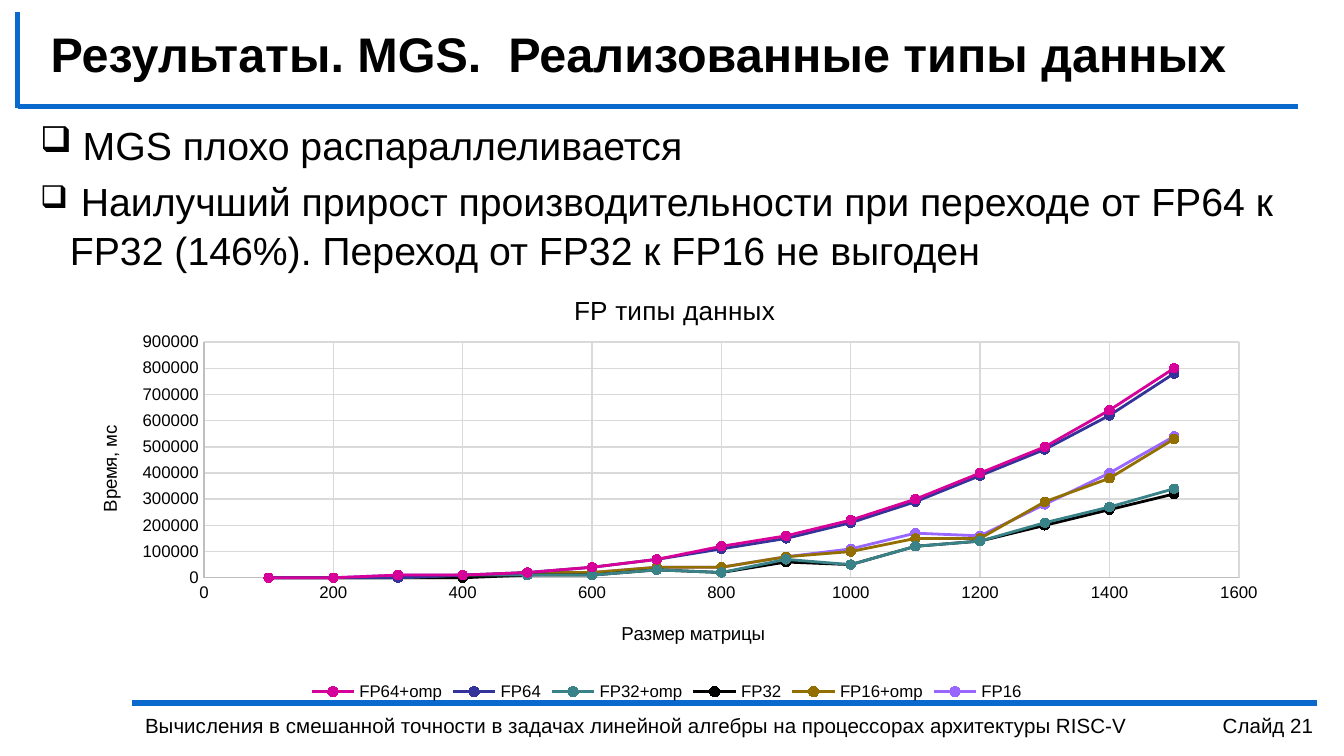
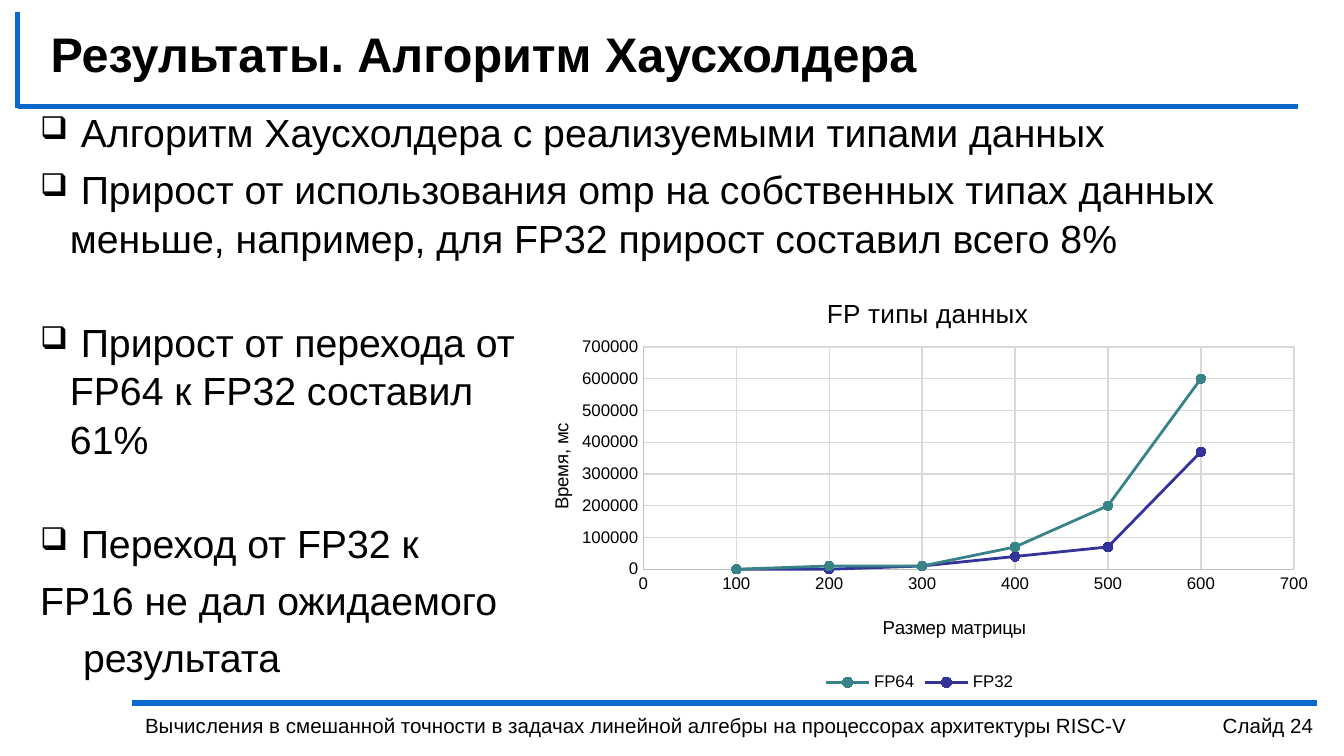
from lxml.etree import SubElement
from pptx import Presentation
from pptx.chart.data import XyChartData
from pptx.dml.color import RGBColor
from pptx.enum.chart import XL_CHART_TYPE, XL_LEGEND_POSITION, XL_MARKER_STYLE, XL_TICK_MARK
from pptx.enum.shapes import MSO_CONNECTOR
from pptx.enum.text import MSO_ANCHOR, PP_ALIGN
from pptx.oxml import parse_xml
from pptx.oxml.ns import nsdecls, qn
from pptx.util import Pt

FONT = "Arial"
BLACK, BLUE, GRID, AXIS = "000000", "0969CD", "D9D9D9", "BFBFBF"
PINK, NAVY, TEAL, OLIVE, VIOLET = "D50198", "333399", "388288", "926F00", "9966FF"
RULES = [(9.4, 57, 695.5, 57), (9.4, 6.5, 9.4, 57.6), (70.6, 376.6, 705.6, 376.6)]
FOOTER = ("Вычисления в смешанной точности в задачах линейной алгебры "
          "на процессорах архитектуры RISC-V")
SIZE_STEP = 100
TIME_STEP = 10000

# Body lines: text, space before, bullet percentage (None for no bullet), left indent.
# Series: name, colour, times in units of TIME_STEP.
# Layouts are fractions of the chart: left, top and, for the plot, width and height.
SLIDES = [
    {
        "title": "Результаты. MGS.  Реализованные типы данных",
        "number": 21,
        "body_box": (14.4, 60.5, 686, 145),
        "body": [
            (" MGS плохо распараллеливается", 4.5, 91, 16),
            (" Наилучший прирост производительности при переходе от FP64 к FP32 (146%). "
             "Переход от FP32 к FP16 не выгоден", 4.5, 80, 16),
        ],
        "chart_box": (31, 140.4, 652.3, 238.3),
        "x_limits": (1600, 200),
        "y_max": 900000,
        "plot": (0.12, 0.18, 0.85, 0.53),
        "title_at": (0.42, 0.06),
        "x_title_at": (0.46, 0.8),
        "y_title_at": (0.03, 0.36),
        "series": [
            ("FP64+omp", PINK, [0, 0, 1, 1, 2, 4, 7, 12, 16, 22, 30, 40, 50, 64, 80]),
            ("FP64", NAVY, [0, 0, 0, 1, 2, 4, 7, 11, 15, 21, 29, 39, 49, 62, 78]),
            ("FP32+omp", TEAL, [0, 0, 0, 1, 1, 1, 3, 2, 7, 5, 12, 14, 21, 27, 34]),
            ("FP32", BLACK, [0, 0, 0, 0, 1, 1, 3, 2, 6, 5, 12, 14, 20, 26, 32]),
            ("FP16+omp", OLIVE, [0, 0, 0, 0, 2, 2, 4, 4, 8, 10, 15, 15, 29, 38, 53]),
            ("FP16", VIOLET, [0, 0, 1, 1, 1, 2, 4, 4, 8, 11, 17, 16, 28, 40, 54]),
        ],
    },
    {
        "title": "Результаты. Алгоритм Хаусхолдера",
        "number": 24,
        "body_box": (14.4, 54, 690.5, 308),
        "body": [
            (" Алгоритм Хаусхолдера с реализуемыми типами данных", 4.5, 80, 16),
            (" Прирост от использования omp на собственных типах данных меньше, "
             "например, для FP32 прирост составил всего 8%", 4.5, 80, 16),
            (" Прирост от перехода от\nFP64 к FP32 составил\n61%", 30, 80, 16),
            (" Переход от FP32 к", 30, 80, 16),
            ("FP16 не дал ожидаемого", 4.5, None, 0),
            ("результата", 4.5, None, 23),
        ],
        "chart_box": (275, 144.7, 435.6, 229),
        "x_limits": (700, 100),
        "y_max": 700000,
        "plot": (0.16, 0.18, 0.8, 0.52),
        "title_at": (0.38, 0.05),
        "x_title_at": (0.45, 0.8),
        "y_title_at": (0.04, 0.35),
        "series": [
            ("FP64", TEAL, [0, 1, 1, 7, 20, 60]),
            ("FP32", NAVY, [0, 0, 1, 4, 7, 37]),
        ],
    },
]


def rgb(value):
    return RGBColor.from_string(value)


def set_layout(holder, fractions):
    """Give a chart title or the plot area a fixed place inside the chart."""
    for old in holder.findall(qn("c:layout")):
        holder.remove(old)
    layout = parse_xml(f"<c:layout {nsdecls('c')}/>")
    manual = SubElement(layout, qn("c:manualLayout"))
    if len(fractions) == 4:
        SubElement(manual, qn("c:layoutTarget")).set("val", "inner")
    for name in ("xMode", "yMode"):
        SubElement(manual, qn(f"c:{name}")).set("val", "edge")
    for name, fraction in zip("xywh", fractions):
        SubElement(manual, qn(f"c:{name}")).set("val", str(fraction))
    text = holder.find(qn("c:tx"))
    holder.insert(0 if text is None else 1, layout)


deck = Presentation()
deck.slide_width, deck.slide_height = Pt(720), Pt(405)

for content in SLIDES:
    page = deck.slides.add_slide(deck.slide_layouts[6])

    for ends in RULES:
        rule = page.shapes.add_connector(MSO_CONNECTOR.STRAIGHT, *map(Pt, ends))
        rule.line.color.rgb = rgb(BLUE)
        rule.line.width = Pt(3)
        SubElement(rule.element.spPr, qn("a:effectLst"))

    # Title, body and footer
    heading = [(content["title"], 0, None, 0)]
    footer = [(FOOTER, 0, None, 0)]
    number = [(f"Слайд {content['number']}", 0, None, 0)]
    for place, lines, size, bold, anchor, align, spacing in [
        ((20, 12.2, 688, 33), heading, 26, True, MSO_ANCHOR.MIDDLE, PP_ALIGN.LEFT, 1),
        (content["body_box"], content["body"], 21, False, MSO_ANCHOR.TOP, PP_ALIGN.LEFT, 1.03),
        ((70.6, 378.7, 578, 26.6), footer, 11, False, MSO_ANCHOR.TOP, PP_ALIGN.LEFT, 1),
        ((620.6, 378.7, 90, 26.6), number, 11, False, MSO_ANCHOR.TOP, PP_ALIGN.RIGHT, 1),
    ]:
        box = page.shapes.add_textbox(*map(Pt, place))
        frame = box.text_frame
        frame.word_wrap = True
        frame.vertical_anchor = anchor
        for index, (text, before, bullet, indent) in enumerate(lines):
            para = frame.add_paragraph() if index else frame.paragraphs[0]
            para.text = text
            para.alignment = align
            para.space_before = Pt(before)
            para.line_spacing = spacing
            for span in para.runs:
                span.font.name = FONT
                span.font.size = Pt(size)
                span.font.bold = bold
                span.font.color.rgb = rgb(BLACK)
            properties = para._p.get_or_add_pPr()
            properties.set("marL", str(Pt(indent)))
            if bullet:
                properties.set("indent", str(-Pt(indent)))
                SubElement(properties, qn("a:buSzPct")).set("val", str(bullet * 1000))
                SubElement(properties, qn("a:buChar")).set("char", "❑")

    # Chart of time against matrix size
    data = XyChartData()
    for name, _, times in content["series"]:
        points = data.add_series(name)
        for step, time in enumerate(times, 1):
            points.add_data_point(step * SIZE_STEP, time * TIME_STEP)
    chart = page.shapes.add_chart(
        XL_CHART_TYPE.XY_SCATTER_LINES, *map(Pt, content["chart_box"]), data).chart
    chart.font.name = FONT
    chart.font.size = Pt(10)
    chart.font.color.rgb = rgb(BLACK)
    chart.plots[0].vary_by_categories = False
    for series, (_, color, _) in zip(chart.plots[0].series, content["series"]):
        series.format.line.color.rgb = rgb(color)
        series.format.line.width = Pt(1.5)
        series.marker.style = XL_MARKER_STYLE.CIRCLE
        series.marker.size = 5
        series.marker.format.fill.solid()
        series.marker.format.fill.fore_color.rgb = rgb(color)
        series.marker.format.line.color.rgb = rgb(color)

    chart.has_legend = True
    chart.legend.position = XL_LEGEND_POSITION.BOTTOM
    chart.legend.include_in_layout = False
    chart.legend.font.name = FONT
    chart.legend.font.size = Pt(9)
    chart.legend.font.color.rgb = rgb(BLACK)

    x_max, x_unit = content["x_limits"]
    for axis, maximum, unit in [(chart.category_axis, x_max, x_unit),
                                (chart.value_axis, content["y_max"], 100000)]:
        axis.minimum_scale = 0
        axis.maximum_scale = maximum
        axis.major_unit = unit
        axis.major_tick_mark = axis.minor_tick_mark = XL_TICK_MARK.NONE
        axis.tick_labels.font.name = FONT
        axis.tick_labels.font.size = Pt(9)
        axis.tick_labels.font.color.rgb = rgb(BLACK)
        axis.has_major_gridlines = True
        for line, color in [(axis.format.line, AXIS), (axis.major_gridlines.format.line, GRID)]:
            line.color.rgb = rgb(color)
            line.width = Pt(0.75)

    for title, text, size, place in [
        (chart.chart_title, "FP типы данных", 14, content["title_at"]),
        (chart.category_axis.axis_title, "Размер матрицы", 10, content["x_title_at"]),
        (chart.value_axis.axis_title, "Время, мс", 10, content["y_title_at"]),
    ]:
        title.text_frame.text = text
        font = title.text_frame.paragraphs[0].runs[0].font
        font.name = FONT
        font.size = Pt(size)
        font.bold = False
        font.color.rgb = rgb(BLACK)
        set_layout(title.element, place)
    chart.chart_title.include_in_layout = False
    set_layout(chart.element.find(f".//{qn('c:plotArea')}"), content["plot"])

deck.save("out.pptx")
